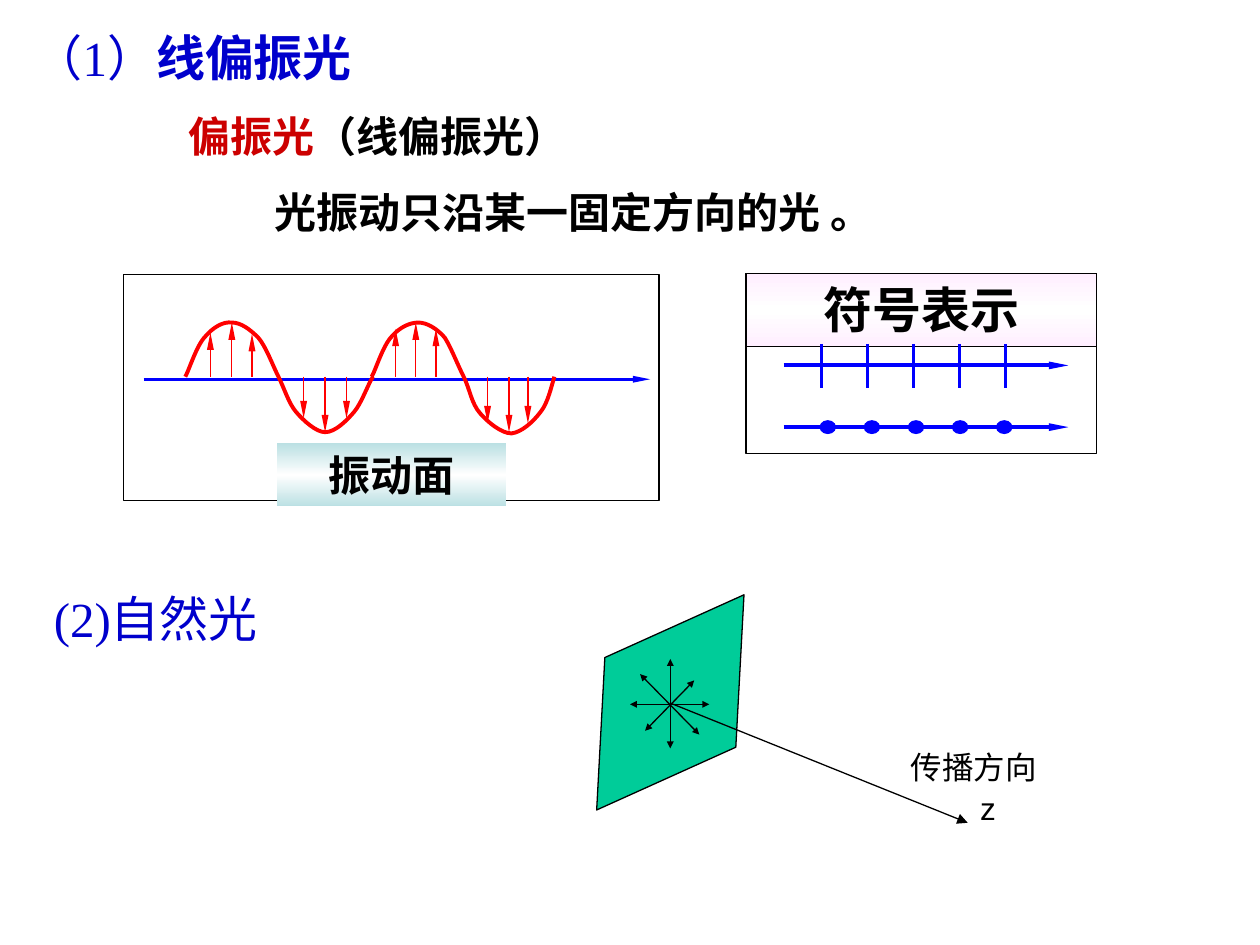
from copy import deepcopy
from dataclasses import dataclass

from lxml import etree
from pptx import Presentation
from pptx import util as u
from pptx.dml.color import RGBColor
from pptx.enum import shapes, text
from pptx.oxml.ns import qn

COLOURS = {
    "title": "0000CC", "term": "CC0000", "black": "000000", "white": "FFFFFF",
    "pink": "FFEFFF", "teal": "BBE0E3", "blue": "0000FF", "red": "FF0000", "green": "00CC99",
}
SERIF = "Times New Roman"
LONG, SMALL, MEDIUM = ("sm", "lg"), ("sm", "sm"), ("med", "med")
BASE = 2.99


@dataclass(frozen=True)
class Span:
    words: str
    colour: str = "black"
    bold: bool = False


@dataclass(frozen=True)
class Line:
    start: tuple[float, float]
    end: tuple[float, float]
    colour: str
    weight: float
    tip: tuple[str, str] | None = None
    both: bool = False


@dataclass(frozen=True)
class Wave:
    nodes: list[tuple[float, float]]


def rgb(name: str) -> RGBColor:
    """Return the named colour."""
    return RGBColor.from_string(COLOURS[name])


def write(box, *spans: Span, size: float, font: str = SERIF,
          align=text.PP_ALIGN.LEFT, indent: float = 0) -> None:
    """Put formatted spans in one paragraph of a box."""
    frame = box.text_frame
    frame.word_wrap = True
    frame.vertical_anchor = text.MSO_ANCHOR.TOP
    frame.margin_left = u.Inches(0.1 + indent)
    para = frame.paragraphs[0]
    para.alignment = align
    for item in spans:
        span = para.add_run()
        span.text = item.words
        span.font.name, span.font.size = font, u.Pt(size)
        span.font.bold = item.bold
        span.font.color.rgb = rgb(item.colour)


def add_text(page, left: float, top: float, width: float, height: float,
             *spans: Span, **style) -> None:
    """Add a text box."""
    box = page.shapes.add_textbox(*map(u.Inches, (left, top, width, height)))
    write(box, *spans, **style)


def add_shape(page, kind, left: float, top: float, width: float, height: float,
              fill: str, line: str | None = "black"):
    """Add a plain filled shape."""
    shape = page.shapes.add_shape(kind, *map(u.Inches, (left, top, width, height)))
    shape.shadow.inherit = False
    shape.fill.solid()
    shape.fill.fore_color.rgb = rgb(fill)
    if line:
        shape.line.color.rgb = rgb(line)
        shape.line.width = u.Pt(0.75)
    else:
        shape.line.fill.background()
    return shape


def add_banner(page, left: float, top: float, width: float, height: float,
               words: str, edge: str, size: float, line: str | None = None) -> None:
    """Add a centred label whose fill is white in the middle."""
    banner = add_shape(page, shapes.MSO_SHAPE.RECTANGLE, left, top, width, height, edge, line)
    banner.fill.gradient()
    banner.fill.gradient_angle = 90
    first, last = banner.fill.gradient_stops
    first.color.rgb = last.color.rgb = rgb(edge)
    first.position, last.position = 0, 1
    stops = banner._element.spPr.find(f".//{qn('a:gsLst')}")
    stops.insert(1, deepcopy(stops[0]))
    middle = banner.fill.gradient_stops[1]
    middle.position = 0.5
    middle.color.rgb = rgb("white")
    write(banner, Span(words, bold=True), size=size, align=text.PP_ALIGN.CENTER)


def add_line(page, line: Line) -> None:
    """Add a straight line with optional arrowheads."""
    ends = map(u.Inches, (*line.start, *line.end))
    connector = page.shapes.add_connector(shapes.MSO_CONNECTOR.STRAIGHT, *ends)
    connector.line.color.rgb = rgb(line.colour)
    connector.line.width = u.Pt(line.weight)
    if line.tip:
        outline = connector.line._get_or_add_ln()
        for tag in ("a:headEnd", "a:tailEnd") if line.both else ("a:tailEnd",):
            etree.SubElement(outline, qn(tag), type="triangle", w=line.tip[0], len=line.tip[1])
    etree.SubElement(connector._element.spPr, qn("a:effectLst"))


def add_wave(page, wave: Wave) -> None:
    """Draw a smooth open curve through cubic Bezier nodes."""
    start, *rest = [(u.Inches(x), u.Inches(y)) for x, y in wave.nodes]
    builder = page.shapes.build_freeform(*start)
    builder.add_line_segments(rest, close=False)
    curve = builder.convert_to_shape()
    outline = curve._element.spPr.find(f".//{qn('a:path')}")
    segments = outline.findall(qn("a:lnTo"))
    for i in range(0, len(segments), 3):
        bezier = etree.SubElement(outline, qn("a:cubicBezTo"))
        for segment in segments[i:i + 3]:
            bezier.append(segment[0])
            outline.remove(segment)
    curve.shadow.inherit = False
    curve.fill.background()
    curve.line.color.rgb = rgb("red")
    curve.line.width = u.Pt(2.25)


WAVES = [
    Wave([(1.47, BASE), (1.5, 2.94), (1.56, 2.74), (1.63, 2.67), (1.69, 2.6), (1.77, 2.55),
          (1.84, 2.56), (1.91, 2.56), (1.98, 2.61), (2.05, 2.68), (2.11, 2.75), (2.16, 2.89),
          (2.21, BASE), (2.26, 3.09), (2.29, 3.2), (2.35, 3.27), (2.41, 3.34), (2.51, 3.43),
          (2.58, 3.43), (2.66, 3.43), (2.75, 3.34), (2.81, 3.27), (2.87, 3.2), (2.92, 3.05),
          (2.96, BASE)]),
    Wave([(2.95, BASE), (2.98, 2.94), (3.04, 2.74), (3.11, 2.67), (3.17, 2.6), (3.25, 2.56),
          (3.32, 2.56), (3.39, 2.56), (3.47, 2.61), (3.53, 2.68), (3.58, 2.76), (3.63, 2.89),
          (3.68, BASE), (3.73, 3.09), (3.74, 3.2), (3.81, 3.28), (3.87, 3.35), (3.98, 3.44),
          (4.06, 3.44), (4.14, 3.43), (4.23, 3.35), (4.29, 3.27), (4.35, 3.2), (4.38, 3.05),
          (4.4, BASE)]),
]
FIELD_TIPS = [
    (1.67, 2.64), (1.84, 2.56), (2, 2.65), (2.41, 3.32), (2.58, 3.43), (2.75, 3.32),
    (3.14, 2.61), (3.3, 2.56), (3.46, 2.61), (3.87, 3.36), (4.04, 3.43), (4.19, 3.36),
]
DIRECTIONS = [
    ((5, 5.59), (5.63, 5.59)), ((5.32, 5.23), (5.32, 5.94)),
    ((5.08, 5.35), (5.55, 5.83)), ((5.51, 5.4), (5.12, 5.8)),
]


def draw_text(page) -> None:
    """Write the headings and the definition."""
    add_text(page, 0.17, 0.17, 6.75, 0.57, Span("（1）", "title"),
             Span("线偏振光", "title", True), size=28)
    add_text(page, 1.17, 0.83, 5.67, 0.5, Span("偏振光", "term", True),
             Span("（线偏振光）", bold=True), size=24, indent=0.23)
    add_text(page, 2.08, 1.43, 6.75, 0.5, Span("光振动只沿某一固定方向的光 。", bold=True), size=24)
    add_text(page, 0.33, 4.62, 1.96, 0.57, Span("(2)自然光", "title"), size=28)


def draw_symbols(page) -> None:
    """Draw the panel of symbols for polarised light."""
    add_shape(page, shapes.MSO_SHAPE.RECTANGLE, 5.92, 2.17, 2.78, 1.43, "white")
    add_banner(page, 5.92, 2.17, 2.78, 0.58, "符号表示", "pink", 28, "black")
    for y in (2.9, 3.39):
        add_line(page, Line((6.22, y), (8.48, y), "blue", 2.25, LONG))
    for i in range(5):
        x = 6.52 + 0.365 * i
        add_line(page, Line((x, 2.73), (x, 3.08), "blue", 1.5))
        add_shape(page, shapes.MSO_SHAPE.OVAL, 6.51 + 0.35 * i, 3.34, 0.12, 0.1, "blue", "blue")


def draw_vibration(page) -> None:
    """Draw the wave in its plane of vibration."""
    add_shape(page, shapes.MSO_SHAPE.RECTANGLE, 0.98, 2.18, 4.25, 1.79, "white")
    add_line(page, Line((1.14, 3.01), (5.16, 3.01), "blue", 1.5, LONG))
    add_banner(page, 2.2, 3.52, 1.82, 0.5, "振动面", "teal", 24)
    for x, y in FIELD_TIPS:
        add_line(page, Line((x, BASE), (x, y), "red", 0.75, LONG))
    for wave in WAVES:
        add_wave(page, wave)


def draw_natural_light(page) -> None:
    """Draw the natural light plane and its direction of travel."""
    plane = add_shape(page, shapes.MSO_SHAPE.DIAMOND, 4.69, 4.54, 1.26, 2.07, "green")
    plane.rotation = 34.4
    for start, end in DIRECTIONS:
        add_line(page, Line(start, end, "black", 0.75, SMALL, True))
    add_line(page, Line((5.32, 5.58), (7.68, 6.53), "black", 0.75, MEDIUM))
    add_text(page, 7.68, 6.21, 0.39, 0.4, Span("z"), size=18, font="Arial")
    add_text(page, 7.13, 5.89, 1.34, 0.4, Span("传播方向"), size=18, font="Arial")


def main() -> None:
    """Build the slide and save it."""
    deck = Presentation()
    deck.slide_width, deck.slide_height = u.Inches(10), u.Inches(7.5)
    page = deck.slides.add_slide(deck.slide_layouts[6])
    for draw in (draw_text, draw_symbols, draw_vibration, draw_natural_light):
        draw(page)
    deck.save("out.pptx")


if __name__ == "__main__":
    main()
